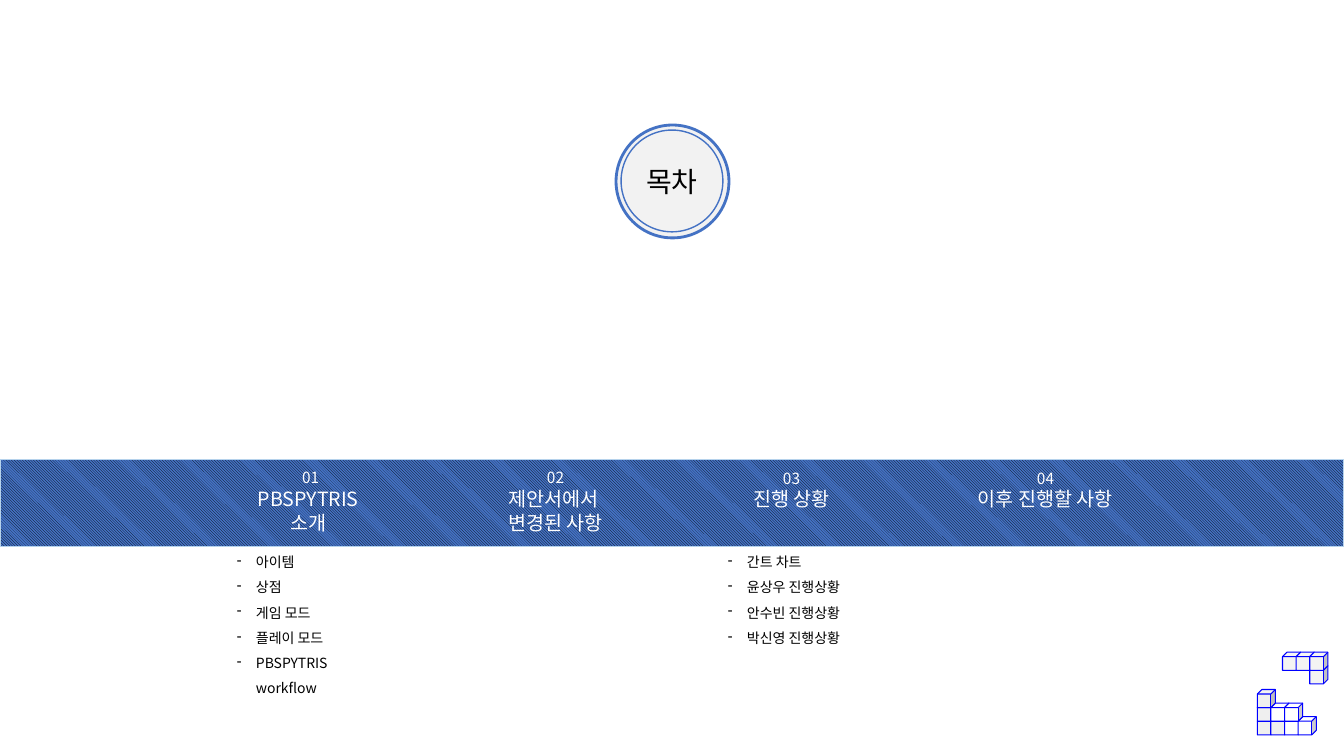
from dataclasses import dataclass

import pptx
import pptx.dml.color
import pptx.enum.dml
import pptx.enum.shapes
import pptx.enum.text
import pptx.oxml
import pptx.oxml.ns
import pptx.util
from pptx.util import Inches

SHAPES = pptx.enum.shapes.MSO_SHAPE
ALIGN = pptx.enum.text.PP_ALIGN


@dataclass(frozen=True)
class Theme:
    font: str = "Noto Sans CJK KR"
    blue: str = "4472C4"
    band_edge: str = "B5D2EC"
    circle: str = "F2F2F2"
    black: str = "000000"
    white: str = "FFFFFF"
    cube_edge: str = "0000FF"
    cube_light: str = "F3F3F3"
    cube_shade: str = "EFEFEF"
    title_size: int = 20
    heading_size: int = 14
    number_size: int = 11
    item_size: int = 10


THEME = Theme()

# Left edge, number, heading lines
SECTIONS = [
    (2.17, "01", ["PBSPYTRIS ", "소개 "]),
    (4.6, "02", ["제안서에서 ", "변경된 사항"]),
    (6.94, "03", ["진행 상황"]),
    (9.46, "04", ["이후 진행할 사항"]),
]

# Left edge, width, height, items
ITEM_LISTS = [
    (2.25, 1.72, 1.34, ["아이템", "상점", "게임 모드", "플레이 모드", "PBSPYTRIS workflow"]),
    (7.12, 1.65, 1.09, ["간트 차트", "윤상우 진행상황", "안수빈 진행상황", "박신영 진행상황"]),
]

# Left, top, then column, row and fill of each cube from back to front
CUBE_BLOCKS = [
    (12.72, 6.47, [(0, 0, THEME.cube_light), (1, 0, THEME.cube_light),
                   (2, 1, THEME.cube_light), (2, 0, THEME.cube_light)]),
    (12.47, 6.84, [(0, 2, THEME.cube_shade), (0, 1, THEME.cube_shade),
                   (1, 2, THEME.cube_shade), (0, 0, THEME.cube_shade),
                   (1, 1, THEME.white), (2, 2, THEME.white),
                   (3, 2, THEME.white), (2, 1, THEME.white)]),
]
CUBE_SIZE = 0.18
CUBE_PITCH = CUBE_SIZE * 0.75


def rgb(value):
    return pptx.dml.color.RGBColor.from_string(value)


def add_outlined(slide, kind, box, line_color, line_width, fill=None):
    shape = slide.shapes.add_shape(kind, *map(Inches, box))
    shape.shadow.inherit = False
    shape.line.color.rgb = rgb(line_color)
    shape.line.width = pptx.util.Pt(line_width)
    if fill:
        shape.fill.solid()
        shape.fill.fore_color.rgb = rgb(fill)
    return shape


def format_paragraph(paragraph, size, color, alignment=ALIGN.LEFT, spacing=1.0):
    paragraph.alignment = alignment
    paragraph.line_spacing = spacing
    paragraph.space_before = pptx.util.Pt(0)
    for run in paragraph.runs:
        run.font.size = pptx.util.Pt(size)
        run.font.color.rgb = rgb(color)
        run.font.name = THEME.font
        east_asian = pptx.oxml.ns.qn("a:ea")
        run.font._element.makeelement(east_asian)
        latin = run.font._element.find(pptx.oxml.ns.qn("a:latin"))
        latin.addnext(latin.makeelement(east_asian, {"typeface": THEME.font}))


def add_dash(paragraph):
    properties = paragraph._p.get_or_add_pPr()
    indent = Inches(0.19)
    properties.set("marL", str(indent))
    properties.set("indent", str(-indent))
    bullet = properties.makeelement(pptx.oxml.ns.qn("a:buChar"), {"char": "-"})
    properties.append(bullet)


def add_text(slide, box, lines):
    text_frame = slide.shapes.add_textbox(*map(Inches, box)).text_frame
    text_frame.word_wrap = True
    text_frame.text = "\n".join(lines)
    return text_frame.paragraphs


def add_title(slide, text):
    add_outlined(slide, SHAPES.OVAL, (6.11, 1.24, 1.12, 1.12), THEME.blue, 2, THEME.circle)
    add_outlined(slide, SHAPES.OVAL, (6.16, 1.29, 1.01, 1.01), THEME.blue, 1, THEME.circle)
    title = slide.shapes.title
    title.left, title.top, title.width, title.height = map(Inches, (6.16, 1.58, 1.01, 0.44))
    text_frame = title.text_frame
    text_frame.text = text
    text_frame.auto_size = pptx.enum.text.MSO_AUTO_SIZE.NONE
    text_frame.vertical_anchor = pptx.enum.text.MSO_ANCHOR.TOP
    format_paragraph(text_frame.paragraphs[0], THEME.title_size, THEME.black, ALIGN.CENTER)
    # The circles would otherwise cover the title
    title.element.getparent().append(title.element)


def add_band(slide):
    band = add_outlined(slide, SHAPES.RECTANGLE, (0, 4.56, 13.33, 0.86), THEME.band_edge, 1)
    band.fill.patterned()
    band.fill.pattern = pptx.enum.dml.MSO_PATTERN.LIGHT_DOWNWARD_DIAGONAL
    band.fill.fore_color.rgb = rgb(THEME.black)
    band.fill.back_color.rgb = rgb(THEME.blue)


def add_section(slide, left, number, heading):
    height = 0.28 + 0.24 * len(heading)
    paragraphs = add_text(slide, (left, 4.6, 1.82, height), [number, *heading])
    for index, paragraph in enumerate(paragraphs):
        size = THEME.heading_size if index else THEME.number_size
        format_paragraph(paragraph, size, THEME.white, ALIGN.CENTER)


def add_items(slide, left, width, height, items):
    for paragraph in add_text(slide, (left, 5.36, width, height), items):
        format_paragraph(paragraph, THEME.item_size, THEME.black, spacing=1.5)
        add_dash(paragraph)


def add_cubes(slide, left, top, cubes):
    for column, row, fill in cubes:
        box = (left + column * CUBE_PITCH, top + row * CUBE_PITCH, CUBE_SIZE, CUBE_SIZE)
        add_outlined(slide, SHAPES.CUBE, box, THEME.cube_edge, 0.75, fill)


def main():
    presentation = pptx.Presentation()
    presentation.slide_width = Inches(13.33)
    presentation.slide_height = Inches(7.5)
    slide = presentation.slides.add_slide(presentation.slide_layouts[5])
    add_title(slide, "목차")
    add_band(slide)
    for section in SECTIONS:
        add_section(slide, *section)
    for item_list in ITEM_LISTS:
        add_items(slide, *item_list)
    for block in CUBE_BLOCKS:
        add_cubes(slide, *block)
    presentation.save("out.pptx")


if __name__ == "__main__":
    main()
